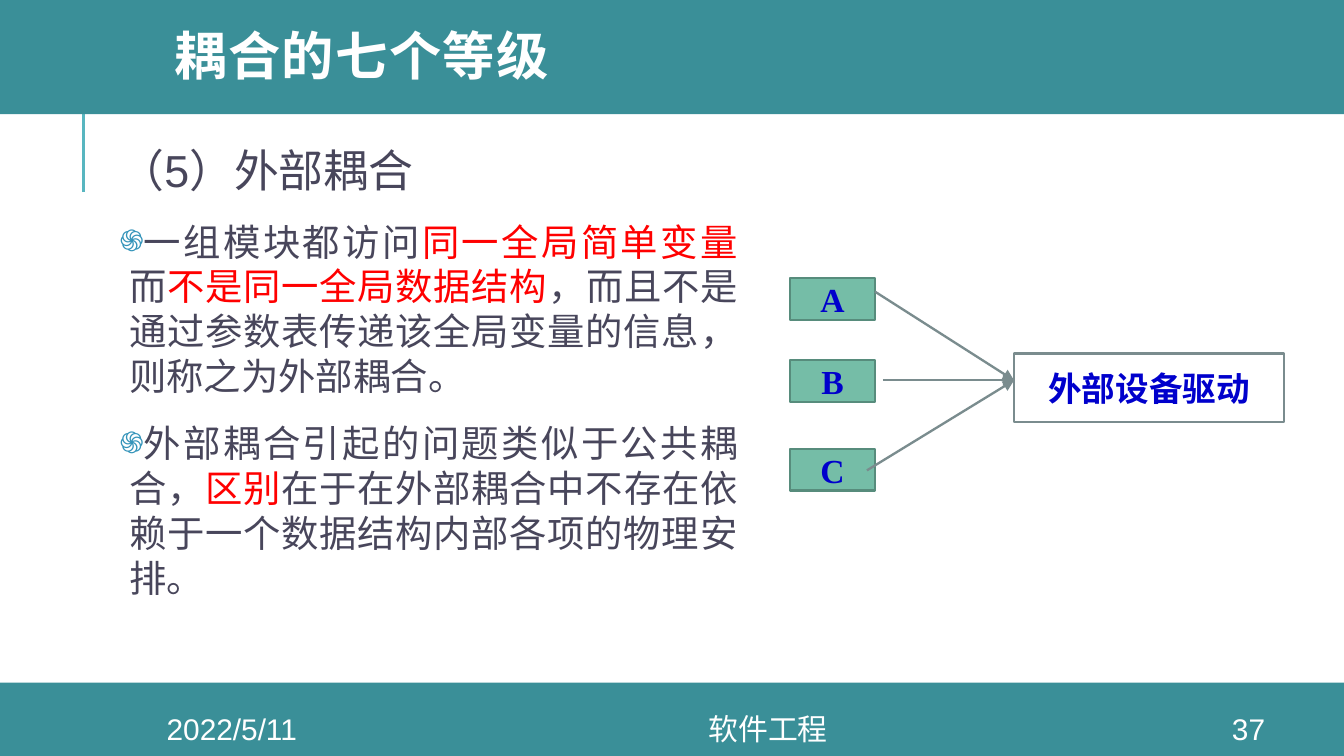
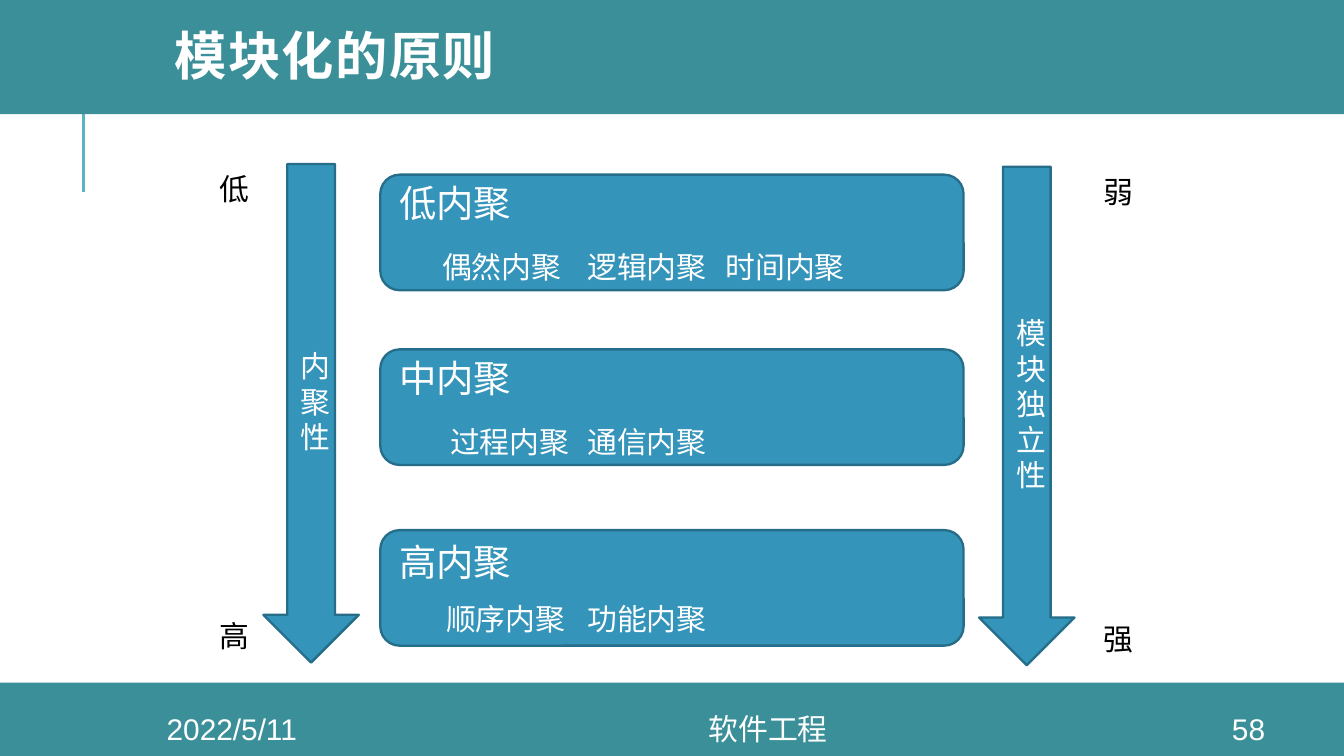
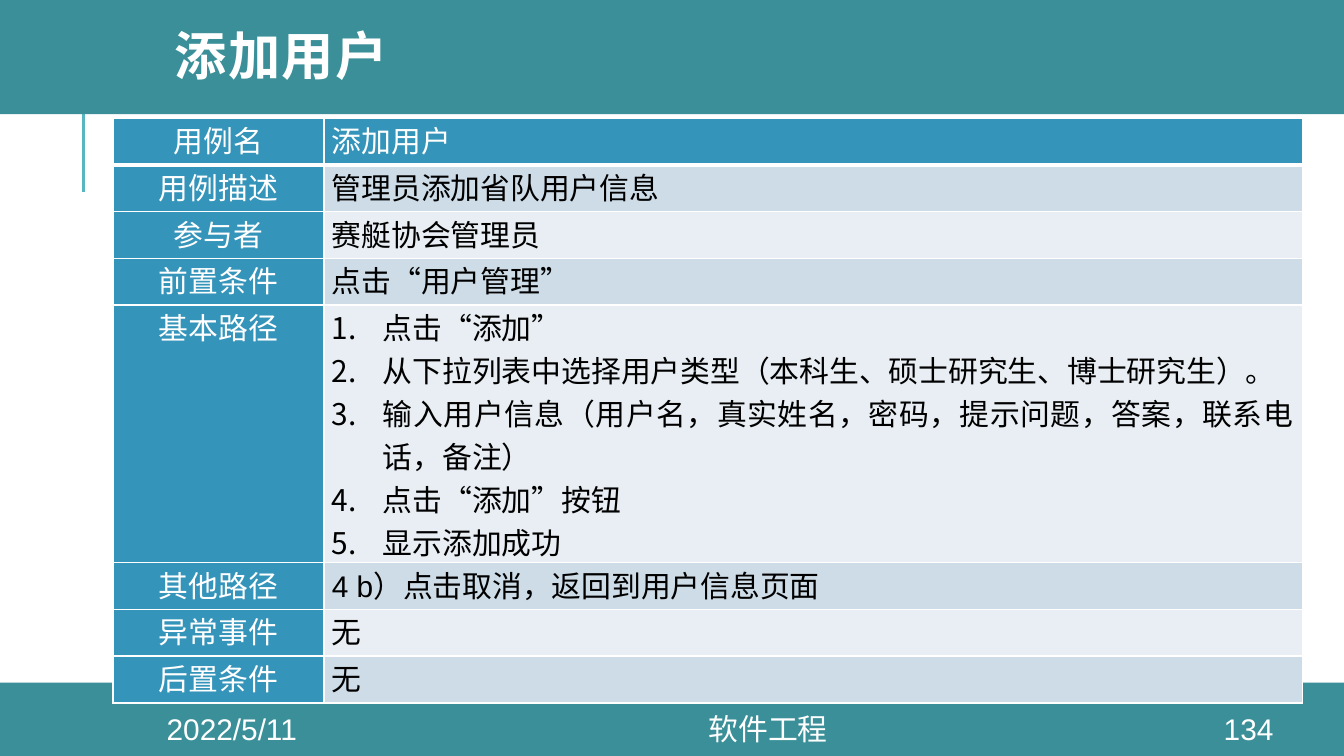
from lxml.etree import SubElement
from pptx import Presentation
from pptx.dml.color import RGBColor
from pptx.enum.shapes import MSO_CONNECTOR, MSO_SHAPE as SHAPE
from pptx.enum.text import MSO_ANCHOR as ANCHOR, MSO_AUTO_SIZE as FIT, PP_ALIGN as ALIGN
from pptx.oxml.ns import qn
from pptx.util import Inches, Pt

WHITE = RGBColor(0xFF, 0xFF, 0xFF)
BLACK = RGBColor(0x00, 0x00, 0x00)
TEAL = RGBColor(0x3A, 0x8F, 0x98)
AQUA = RGBColor(0x58, 0xB6, 0xC0)
INK = RGBColor(0x48, 0x46, 0x5B)
RED = RGBColor(0xFF, 0x00, 0x00)
BLUE = RGBColor(0x34, 0x94, 0xBA)
DARK_BLUE = RGBColor(0x26, 0x6D, 0x8A)
GREEN = RGBColor(0x75, 0xBD, 0xA7)
DARK_GREEN = RGBColor(0x57, 0x8C, 0x7C)
GRAY = RGBColor(0x7A, 0x8C, 0x8E)
NAVY = RGBColor(0x00, 0x00, 0xCC)
PALE = RGBColor(0xE8, 0xEE, 0xF3)
MIST = RGBColor(0xCE, 0xDC, 0xE7)

COLUMNS, ROWS = 100, 56.25
UNIT = Inches(0.1)


def add_box(slide, kind, place, fill=None, line=None):
    place = [round(length * UNIT) for length in place]
    if kind is None:
        shape = slide.shapes.add_textbox(*place)
    else:
        shape = slide.shapes.add_shape(kind, *place)
        shape.shadow.inherit = False
        shape.fill.solid()
        shape.fill.fore_color.rgb = fill
        if line is None:
            shape.line.fill.background()
        else:
            shape.line.color.rgb = line
            shape.line.width = Pt(1.25)
    shape.text_frame.word_wrap = True
    shape.text_frame.vertical_anchor = ANCHOR.MIDDLE
    return shape


def write(paragraph, text, size, color, align=ALIGN.CENTER, name="Arial", leading=None):
    paragraph.text = text
    paragraph.alignment = align
    if leading:
        paragraph.line_spacing = leading
    paragraph.font.size = Pt(size)
    paragraph.font.name = name
    paragraph.font.color.rgb = color


presentation = Presentation()
presentation.slide_width = round(COLUMNS * UNIT)
presentation.slide_height = round(ROWS * UNIT)
layout = presentation.slide_layouts[5]

slides = []
for heading, number in [("耦合的七个等级", "37"), ("模块化的原则", "58"), ("添加用户", "134")]:
    slide = presentation.slides.add_slide(layout)
    slides.append(slide)
    title = slide.shapes.title
    title.left, title.top, title.width, title.height = [
        round(length * UNIT) for length in (12, 0, 84.9, 9)]
    title.text_frame.vertical_anchor = ANCHOR.MIDDLE
    title.text_frame.auto_size = FIT.NONE
    paragraph = title.text_frame.paragraphs[0]
    write(paragraph, heading, 28, WHITE, ALIGN.LEFT, "Montserrat", 0.8)
    paragraph.font.bold = True
    paragraph.runs[0]._r.get_or_add_rPr().set("spc", "80")
    for text, left, width in [("2022/5/11", 8.4, 17.7), ("软件工程", 26.1, 62.1), (number, 88.9, 8)]:
        footer = add_box(slide, None, (left, 53.1, width, 2.3))
        write(footer.text_frame.paragraphs[0], text, 16, WHITE)

coupling, principles, use_case = slides

marker = coupling.shapes.add_connector(
    MSO_CONNECTOR.STRAIGHT, *[round(length * UNIT) for length in (6.24, 14.3, 6.24, 6.8)])
marker.line.color.rgb = AQUA
marker.line.width = Pt(1.5)
SubElement(marker.element.spPr, qn("a:effectLst"))
footer_band = add_box(coupling, SHAPE.RECTANGLE, (0, 50.8, COLUMNS, ROWS - 50.8), TEAL)
title_band = add_box(coupling, SHAPE.RECTANGLE, (0, -0.3, COLUMNS, 8.8), TEAL)
for shape in (marker, footer_band, title_band):
    layout.shapes.element.append(shape.element)

body = add_box(coupling, None, (8.4, 10.1, 47, 41.6)).text_frame
body.vertical_anchor = ANCHOR.TOP
body.margin_left = body.margin_right = body.margin_top = body.margin_bottom = Inches(0.05)
write(body.paragraphs[0], "（5）外部耦合", 24, INK, ALIGN.JUSTIFY, leading=Pt(29))
points = [
    [("一组模块都访问", INK), ("同一全局简单变量", RED), ("而", INK), ("不是同一全局数据结构", RED),
     ("，而且不是通过参数表传递该全局变量的信息，则称之为外部耦合。", INK)],
    [("外部耦合引起的问题类似于公共耦合，", INK), ("区别", RED),
     ("在于在外部耦合中不存在依赖于一个数据结构内部各项的物理安排。", INK)],
]
for point in points:
    paragraph = body.add_paragraph()
    properties = paragraph._p.get_or_add_pPr()
    properties.set("marL", str(Inches(0.07)))
    properties.set("indent", str(Inches(-0.47)))
    bullet_color = SubElement(properties, qn("a:buClr"))
    SubElement(bullet_color, qn("a:srgbClr"), val=str(BLUE))
    SubElement(properties, qn("a:buSzPct"), val="80000")
    SubElement(properties, qn("a:buFont"), typeface="Arial")
    SubElement(properties, qn("a:buChar"), char="֍")
    write(paragraph, "", 20, INK, ALIGN.JUSTIFY, leading=Pt(24))
    paragraph.space_before = Pt(12)
    for text, color in point:
        run = paragraph.add_run()
        run.text = text
        run.font.color.rgb = color

modules = [
    ("A", (58.8, 20.7, 6.3, 3.1), GREEN, DARK_GREEN),
    ("B", (58.8, 26.8, 6.3, 3.1), GREEN, DARK_GREEN),
    ("C", (58.8, 33.4, 6.3, 3.1), GREEN, DARK_GREEN),
    ("外部设备驱动", (75.45, 26.3, 20.1, 5.1), WHITE, GRAY),
]
for name, place, fill, line in modules:
    module = add_box(coupling, SHAPE.RECTANGLE, place, fill, line)
    module.text_frame.word_wrap = False
    paragraph = module.text_frame.paragraphs[0]
    write(paragraph, name, 18, NAVY, name="Times New Roman")
    paragraph.font.bold = True

for left, top in [(64.5, 35), (65.7, 28.3), (65.1, 21.7)]:
    access = coupling.shapes.add_connector(
        MSO_CONNECTOR.STRAIGHT, *[round(length * UNIT) for length in (left, top, 75.45, 28.3)])
    access.line.color.rgb = GRAY
    access.line.width = Pt(1.25)
    properties = access.element.spPr
    SubElement(properties.find(qn("a:ln")), qn("a:tailEnd"), type="triangle")
    SubElement(properties, qn("a:effectLst"))

levels = [
    ("低内聚", ["偶然内聚", "逻辑内聚", "时间内聚"], 13, 13, 0.32),
    ("中内聚", ["过程内聚", "通信内聚"], 26, 13, 0.38),
    ("高内聚", ["顺序内聚", "功能内聚"], 39.45, 9, 0.35),
]
for level, kinds, top, gap, indent in levels:
    card = add_box(principles, SHAPE.ROUNDED_RECTANGLE, (28.3, top, 43.4, 8.6), BLUE, DARK_BLUE)
    write(card.text_frame.paragraphs[0], level, 20, WHITE, ALIGN.LEFT, leading=Pt(24))
    paragraph = card.text_frame.add_paragraph()
    tabs = SubElement(paragraph._p.get_or_add_pPr(), qn("a:tabLst"))
    for stop in (indent, 1.4, 2.43):
        SubElement(tabs, qn("a:tab"), pos=str(Inches(stop)), algn="l")
    write(paragraph, "".join("\t" + kind for kind in kinds), 16, WHITE, ALIGN.LEFT, leading=Pt(19))
    paragraph.space_before = Pt(gap)

scales = [
    ("内聚性", 19.6, 12.2, 15.35, "低", "高"),
    ("模块独立性", 72.85, 12.4, 81.1, "弱", "强"),
]
for scale, left, top, label_left, start, end in scales:
    arrow = add_box(principles, SHAPE.DOWN_ARROW, (left, top, 7.1, 37.1), BLUE, DARK_BLUE)
    write(arrow.text_frame.paragraphs[0], scale, 16, WHITE, leading=Pt(19))
    for text, label_top in [(start, top), (end, top + 33.3)]:
        label = add_box(principles, None, (label_left, label_top, 4.3, 3.7)).text_frame
        label.word_wrap = False
        label.auto_size = FIT.SHAPE_TO_FIT_TEXT
        label.vertical_anchor = ANCHOR.TOP
        write(label.paragraphs[0], text, 16, BLACK, ALIGN.LEFT)

steps = [
    "点击“添加”",
    "从下拉列表中选择用户类型（本科生、硕士研究生、博士研究生）。",
    "输入用户信息（用户名，真实姓名，密码，提示问题，答案，联系电话，备注）",
    "点击“添加”按钮",
    "显示添加成功",
]
fields = [
    ("用例名", ["添加用户"]),
    ("用例描述", ["管理员添加省队用户信息"]),
    ("参与者", ["赛艇协会管理员"]),
    ("前置条件", ["点击“用户管理”"]),
    ("基本路径", steps),
    ("其他路径", ["4 b）点击取消，返回到用户信息页面"]),
    ("异常事件", ["无"]),
    ("后置条件", ["无"]),
]
table = use_case.shapes.add_table(
    len(fields), 2, *[round(length * UNIT) for length in (8.4, 8.8, 88.5, 43.6)]).table
for column, width in zip(table.columns, (15.7, 72.8)):
    column.width = round(width * UNIT)
for row, field in enumerate(fields):
    table.rows[row].height = round((19.15 if field[1] is steps else 3.48) * UNIT)
    for column, lines in enumerate(([field[0]], field[1])):
        cell = table.cell(row, column)
        cell.margin_left = cell.margin_right = Inches(0.06)
        cell.margin_top = cell.margin_bottom = 0
        properties = cell._tc.get_or_add_tcPr()
        for side in ("lnL", "lnR", "lnT", "lnB"):
            thick = row == 0 and side == "lnB"
            border = SubElement(properties, qn("a:" + side), w=str(Pt(3 if thick else 1)))
            SubElement(SubElement(border, qn("a:solidFill")), qn("a:srgbClr"), val=str(WHITE))
        header = row == 0 or column == 0
        cell.fill.solid()
        cell.fill.fore_color.rgb = BLUE if header else MIST if row % 2 else PALE
        for index, text in enumerate(lines):
            frame = cell.text_frame
            paragraph = frame.add_paragraph() if index else frame.paragraphs[0]
            if lines is steps:
                properties = paragraph._p.get_or_add_pPr()
                properties.set("marL", str(Inches(0.38)))
                properties.set("indent", str(Inches(-0.38)))
                SubElement(properties, qn("a:buAutoNum"), type="arabicPeriod")
            write(paragraph, text, 16, WHITE if header else BLACK,
                  ALIGN.JUSTIFY if column else ALIGN.CENTER, leading=Pt(23))

presentation.save("out.pptx")
